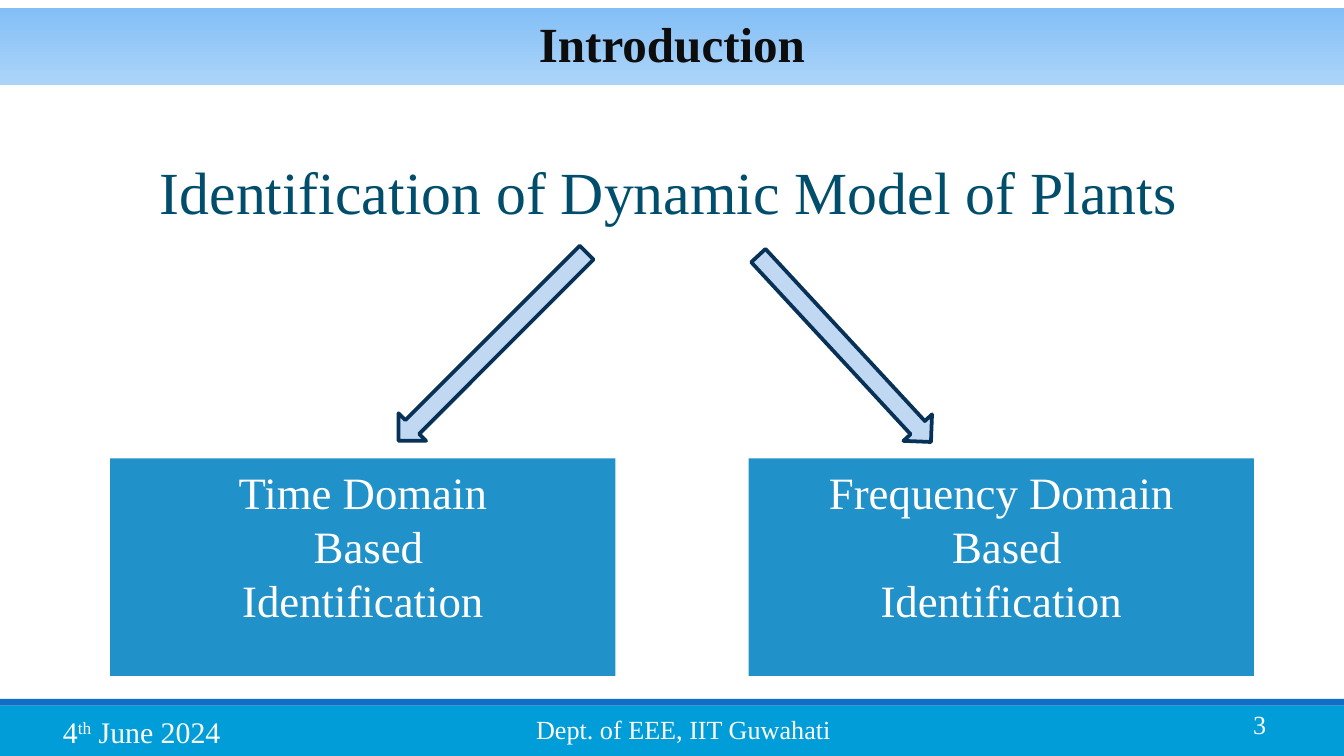
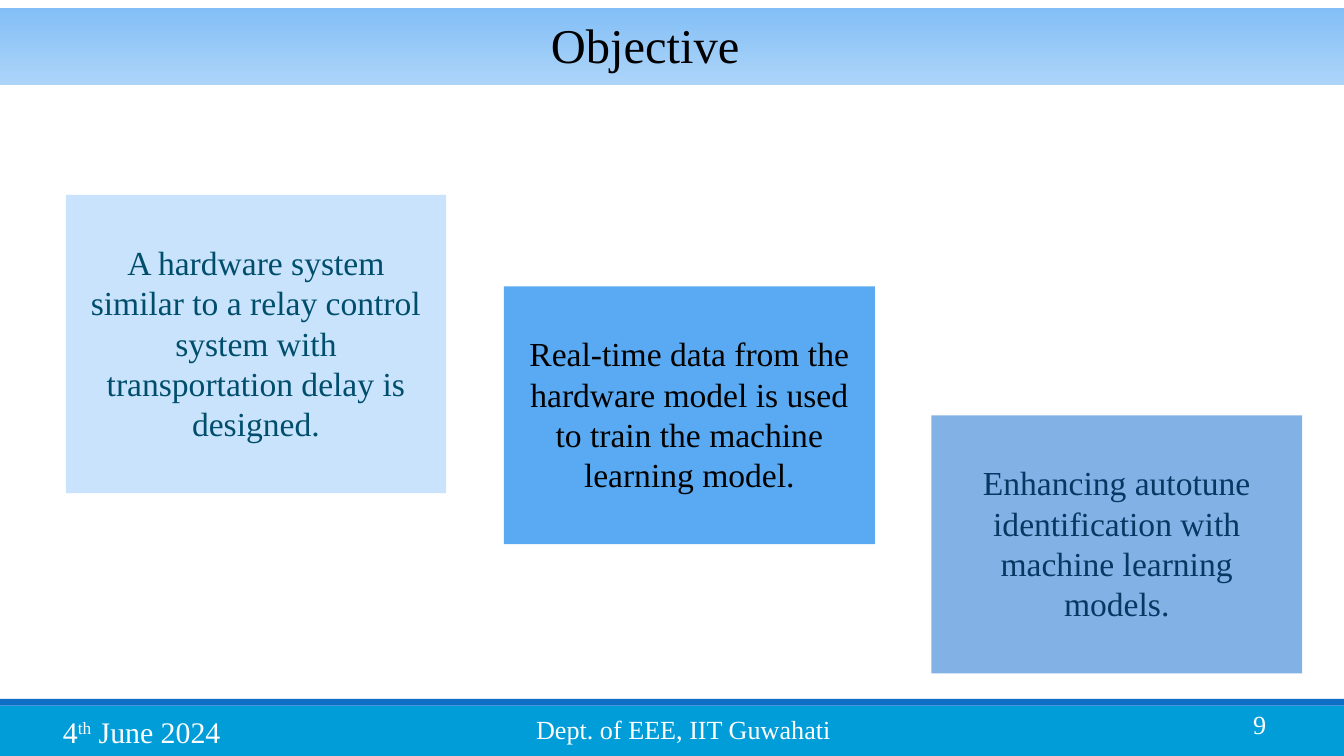
from pptx import Presentation
from pptx.dml.color import RGBColor
from pptx.enum.shapes import MSO_SHAPE
from pptx.enum.text import MSO_ANCHOR, PP_ALIGN
from pptx.util import Inches, Pt

RECTANGLE, DOWN_ARROW = MSO_SHAPE.RECTANGLE, MSO_SHAPE.DOWN_ARROW
TOP, MIDDLE = MSO_ANCHOR.TOP, MSO_ANCHOR.MIDDLE
LEFT, CENTER, RIGHT = PP_ALIGN.LEFT, PP_ALIGN.CENTER, PP_ALIGN.RIGHT

FONT = "Times New Roman"
WHITE = RGBColor(0xFF, 0xFF, 0xFF)
BLACK = RGBColor(0x00, 0x00, 0x00)
NEAR_BLACK = RGBColor(0x0D, 0x0D, 0x0D)
FOOTER_BLUE = RGBColor(0x00, 0x9D, 0xD9)
STRIPE_BLUE = RGBColor(0x0F, 0x6F, 0xC6)
BAND_TOP = RGBColor(0x83, 0xBF, 0xF6)
BAND_BOTTOM = RGBColor(0xAC, 0xD4, 0xF9)
BOX_BLUE = RGBColor(0x21, 0x91, 0xC9)
TEAL = RGBColor(0x00, 0x4E, 0x6C)
NAVY = RGBColor(0x08, 0x37, 0x63)
ARROW_FILL = RGBColor(0xC1, 0xD8, 0xF2)
ARROW_LINE = RGBColor(0x07, 0x31, 0x57)
PALE_BLUE = RGBColor(0xC8, 0xE3, 0xFB)
BRIGHT_BLUE = RGBColor(0x59, 0xAA, 0xF2)
SOFT_BLUE = RGBColor(0x82, 0xB1, 0xE5)

SLIDE_WIDTH = 10
SLIDE_HEIGHT = SLIDE_WIDTH * 9 / 16


class Deck:
    def __init__(self):
        self.presentation = Presentation()
        self.presentation.slide_width = Inches(SLIDE_WIDTH)
        self.presentation.slide_height = Inches(SLIDE_HEIGHT)
        self.slide = None

    def add_slide(self, number):
        """Start a slide with the footer and return its title band."""
        self.slide = self.presentation.slides.add_slide(self.presentation.slide_layouts[6])
        self.shape(RECTANGLE, 0, 5.25, SLIDE_WIDTH, SLIDE_HEIGHT - 5.25, FOOTER_BLUE)
        self.shape(RECTANGLE, 0, 5.2, SLIDE_WIDTH, 0.05, STRIPE_BLUE)
        band = self.title_band()
        self.date(self.text_box(0.37, 5.26, 2.04, 0.37))
        self.label("Dept. of EEE, IIT Guwahati", 3.89, 5.26, 2.62, 0.34, 14, WHITE)
        self.label(str(number), 8.66, 5.22, 0.86, 0.34, 14, WHITE, RIGHT)
        return band

    def shape(self, kind, left, top, width, height, color):
        shape = self.slide.shapes.add_shape(
            kind, Inches(left), Inches(top), Inches(width), Inches(height))
        shape.shadow.inherit = False
        shape.fill.solid()
        shape.fill.fore_color.rgb = color
        shape.line.fill.background()
        return shape

    def title_band(self):
        band = self.shape(RECTANGLE, 0, 0.06, SLIDE_WIDTH, 0.57, BAND_TOP)
        band.fill.gradient()
        band.fill.gradient_angle = 270
        for stop, color in zip(band.fill.gradient_stops, (BAND_TOP, BAND_BOTTOM)):
            stop.color.rgb = color
        return band

    def text_box(self, left, top, width, height):
        box = self.slide.shapes.add_textbox(
            Inches(left), Inches(top), Inches(width), Inches(height))
        box.text_frame.word_wrap = True
        return box

    def style_text(self, shape, size, color, alignment=LEFT, bold=False,
                   anchor=TOP, spacing=None):
        shape.text_frame.vertical_anchor = anchor
        for paragraph in shape.text_frame.paragraphs:
            paragraph.alignment = alignment
            paragraph.line_spacing = spacing
            for run in paragraph.runs:
                run.font.name = FONT
                run.font.size = Pt(size)
                run.font.bold = bold
                run.font.color.rgb = color

    def label(self, text, left, top, width, height, size, color, alignment=LEFT):
        box = self.text_box(left, top, width, height)
        box.text_frame.text = text
        self.style_text(box, size, color, alignment)

    def date(self, box):
        """Write the date with its ordinal ending raised."""
        paragraph = box.text_frame.paragraphs[0]
        day, ordinal, month = (paragraph.add_run() for _ in range(3))
        day.text, ordinal.text, month.text = "4", "th", " June 2024"
        self.style_text(box, 16, WHITE)
        ordinal.font._element.set("baseline", "30000")

    def text_block(self, text, left, top, width, height, fill, size, color, margin_top=0.05):
        block = self.shape(RECTANGLE, left, top, width, height, fill)
        block.text_frame.text = text
        block.text_frame.word_wrap = True
        block.text_frame.margin_top = Inches(margin_top)
        self.style_text(block, size, color, CENTER)

    def arrow(self, left, top, height, rotation):
        arrow = self.shape(DOWN_ARROW, left, top, 0.29, height, ARROW_FILL)
        arrow.rotation = rotation
        arrow.line.color.rgb = ARROW_LINE
        arrow.line.width = Pt(2)


def build_introduction(deck):
    band = deck.add_slide(3)
    band.text_frame.text = "Introduction"
    deck.style_text(band, 26.3, NEAR_BLACK, CENTER, bold=True, anchor=MIDDLE, spacing=0.9)
    for left, domain in ((0.82, "Time"), (5.57, "Frequency")):
        deck.text_block(f"{domain} Domain\n Based\nIdentification",
                        left, 3.41, 3.76, 1.62, BOX_BLUE, 24, WHITE)
    deck.label("Identification of Dynamic Model of Plants", 1.09, 1.1, 8.42, 0.64, 32, TEAL)
    deck.arrow(3.52, 1.59, 1.98, 45)
    deck.arrow(6.14, 1.65, 1.89, 317.2)


def build_objective(deck):
    deck.add_slide(9)
    deck.label("Objective", 4, 0.06, 1.75, 0.54, 26, BLACK)
    objectives = (
        ("A hardware system similar to a relay control system with transportation "
         "delay is designed.", 0.49, 1.45, 2.83, 2.22, PALE_BLUE, TEAL),
        ("Enhancing autotune identification with machine learning models.",
         6.93, 3.09, 2.76, 1.92, SOFT_BLUE, NAVY),
        ("Real-time data from the hardware model is used to train the machine "
         "learning model.", 3.75, 2.13, 2.76, 1.92, BRIGHT_BLUE, BLACK),
    )
    for text, left, top, width, height, fill, color in objectives:
        deck.text_block(text, left, top, width, height, fill, 18, color, margin_top=0.35)


def main():
    deck = Deck()
    build_introduction(deck)
    build_objective(deck)
    deck.presentation.save("out.pptx")


if __name__ == "__main__":
    main()
